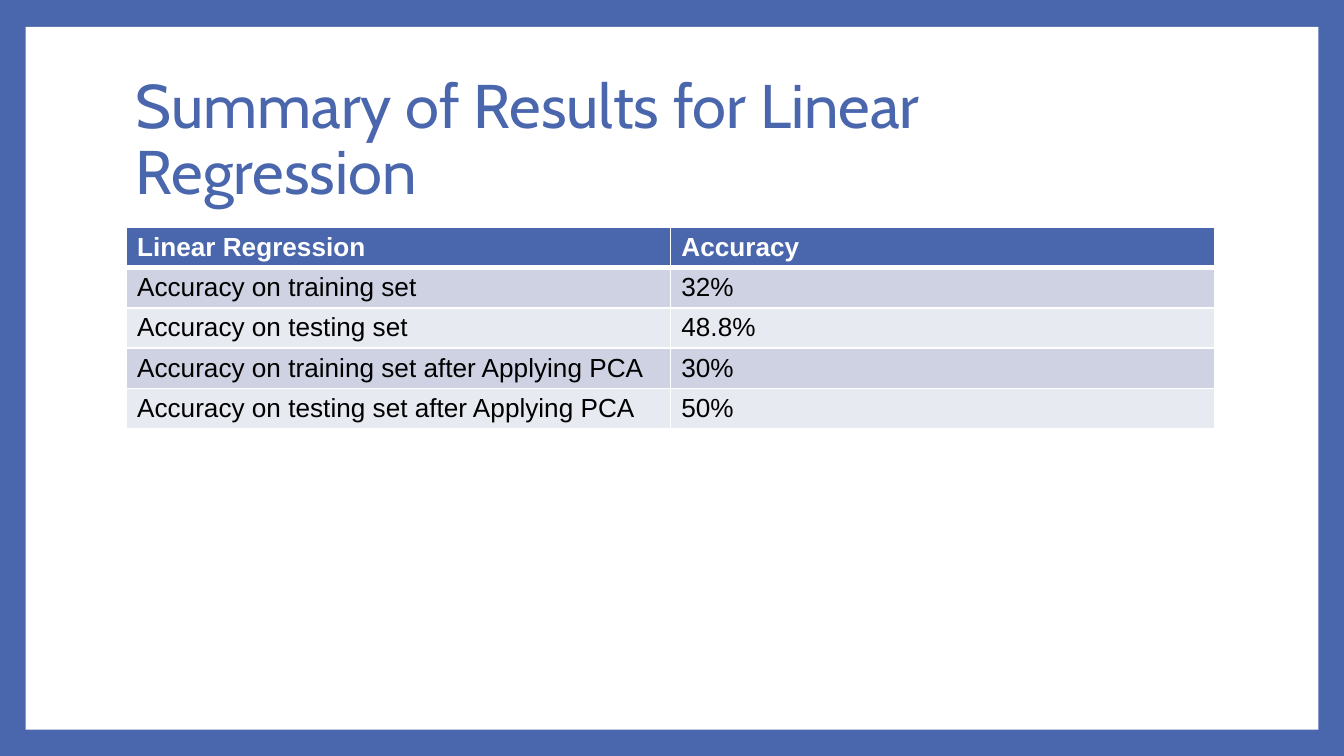
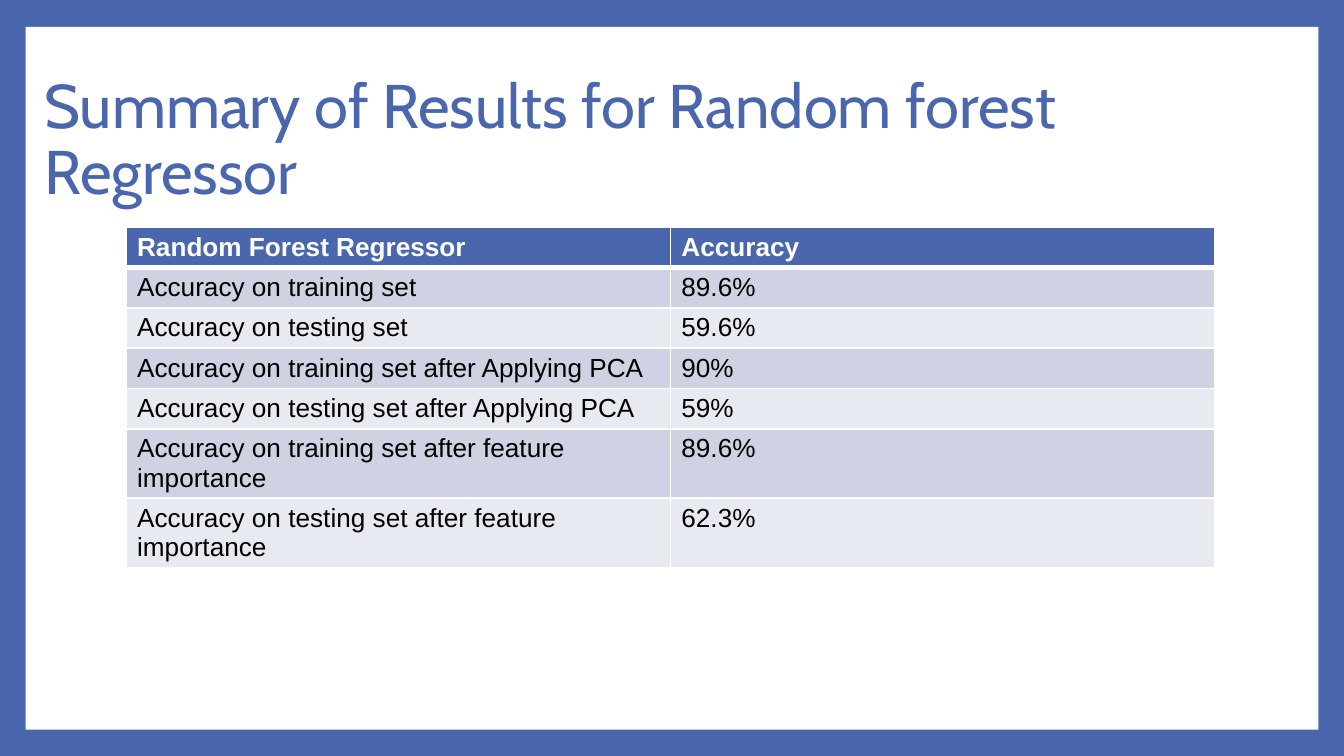
from lxml import etree
from pptx import Presentation
from pptx.dml.color import RGBColor
from pptx.enum.shapes import MSO_SHAPE
from pptx.enum.text import MSO_ANCHOR, MSO_AUTO_SIZE, PP_ALIGN
from pptx.oxml.ns import qn
from pptx.util import Inches, Pt

RECT = MSO_SHAPE.RECTANGLE
MIDDLE = MSO_ANCHOR.MIDDLE
NO_FIT = MSO_AUTO_SIZE.NONE
LEFT = PP_ALIGN.LEFT

BLUE, WHITE, BLACK = "4A66AC", "FFFFFF", "000000"
BANDS = ("CED2E2", "E8EAF1")
HEAD_FONT, BODY_FONT = "Cabin", "Arial"
TITLE_ONLY = 5
PANEL_ID = 20
WIDE = 10
ROW_H, COL_W = 0.3, 4.05

LINEAR = [
    ("Linear Regression", "Accuracy"),
    ("Accuracy on training set", "32%"),
    ("Accuracy on testing set", "48.8%"),
    ("Accuracy on training set after Applying PCA", "30%"),
    ("Accuracy on testing set after Applying PCA", "50%"),
]
FOREST = [
    ("Random Forest Regressor", "Accuracy"),
    ("Accuracy on training set", "89.6%"),
    ("Accuracy on testing set", "59.6%"),
    ("Accuracy on training set after Applying PCA", "90%"),
    ("Accuracy on testing set after Applying PCA", "59%"),
    ("Accuracy on training set after feature importance", "89.6%"),
    ("Accuracy on testing set after feature importance", "62.3%"),
]


def paint(fill, color):
    fill.solid()
    fill.fore_color.rgb = RGBColor.from_string(color)


def add_run(para, text, font, size, color, bold=False):
    run = para.add_run()
    run.text = text
    run.font.name = font
    run.font.size = Pt(size)
    run.font.bold = bold
    run.font.color.rgb = RGBColor.from_string(color)


def pad(item, side, edge):
    item.margin_left = item.margin_right = Inches(side)
    item.margin_top = item.margin_bottom = Inches(edge)


def add_panel(slide, master):
    panel = slide.shapes.add_shape(
        RECT, Inches(0.19), Inches(0.2), Inches(9.62), Inches(5.23))
    panel.shadow.inherit = False
    paint(panel.fill, WHITE)
    panel.line.fill.background()
    # Move the panel to the back of the master, for every slide
    panel.element.nvSpPr.cNvPr.id = PANEL_ID
    master.shapes.element.insert(2, panel.element)


def set_title(slide, text, left, width):
    title = slide.shapes.title
    title.left, title.top = Inches(left), Inches(0.5)
    title.width, title.height = Inches(width), Inches(1.11)
    frame = title.text_frame
    frame.word_wrap = True
    frame.auto_size = NO_FIT
    frame.vertical_anchor = MIDDLE
    pad(frame, 0.07, 0.04)
    para = frame.paragraphs[0]
    para.alignment = LEFT
    para.line_spacing = 0.9
    add_run(para, text, HEAD_FONT, 33, BLUE)


def add_edge(cell, side, width):
    props = cell._tc.get_or_add_tcPr()
    line = etree.SubElement(props, qn("a:ln" + side), w=str(Pt(width)))
    solid = etree.SubElement(line, qn("a:solidFill"))
    etree.SubElement(solid, qn("a:srgbClr"), val=WHITE)


def add_grid(slide, rows):
    frame = slide.shapes.add_table(
        len(rows), 2, Inches(0.94), Inches(1.69),
        Inches(2 * COL_W), Inches(ROW_H * len(rows)))
    table = frame.table
    for col in table.columns:
        col.width = Inches(COL_W)
    for r, row in enumerate(rows):
        table.rows[r].height = Inches(ROW_H)
        head = r == 0
        # A thick rule parts the header from the body
        edges = {"L": 1, "R": 1, "T": 3 if r == 1 else 1, "B": 3 if head else 1}
        for c, text in enumerate(row):
            cell = table.cell(r, c)
            pad(cell, 0.08, 0.04)
            for side, width in edges.items():
                add_edge(cell, side, width)
            paint(cell.fill, BLUE if head else BANDS[(r - 1) % 2])
            add_run(cell.text_frame.paragraphs[0], text, BODY_FONT, 14,
                    WHITE if head else BLACK, head)


def add_page(prs, title, left, width, rows):
    slide = prs.slides.add_slide(prs.slide_layouts[TITLE_ONLY])
    set_title(slide, title, left, width)
    add_grid(slide, rows)
    return slide


def main():
    prs = Presentation()
    # Widescreen, 16 to 9
    prs.slide_width, prs.slide_height = Inches(WIDE), Inches(WIDE * 9 / 16)
    first = add_page(prs, "Summary of Results for Linear Regression",
                     0.94, 8.1, LINEAR)
    add_page(prs, "Summary of Results for Random forest Regressor",
             0.26, 9.59, FOREST)
    # Shared blue frame and white panel
    paint(prs.slide_master.background.fill, BLUE)
    add_panel(first, prs.slide_master)
    prs.save("out.pptx")


if __name__ == "__main__":
    main()
